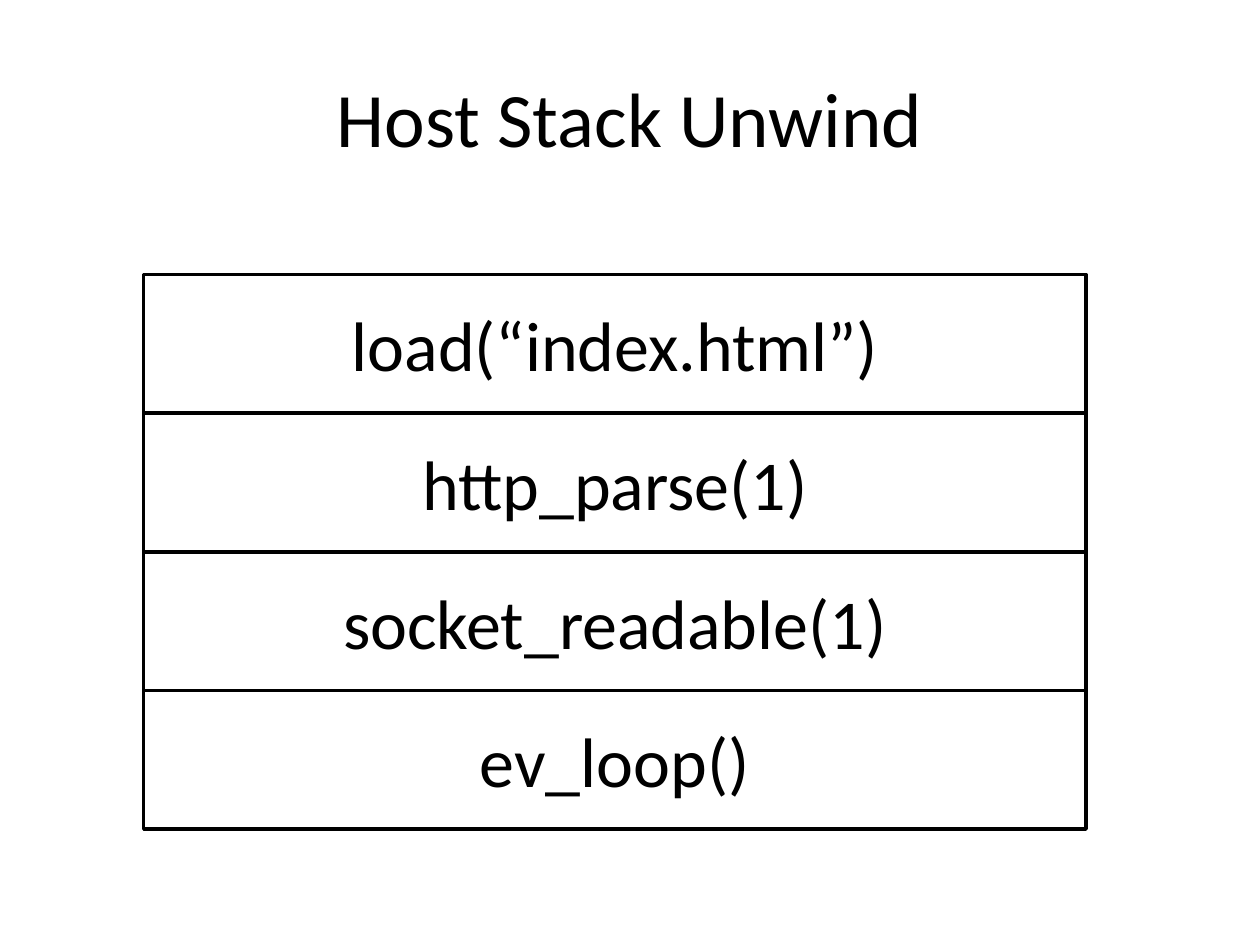
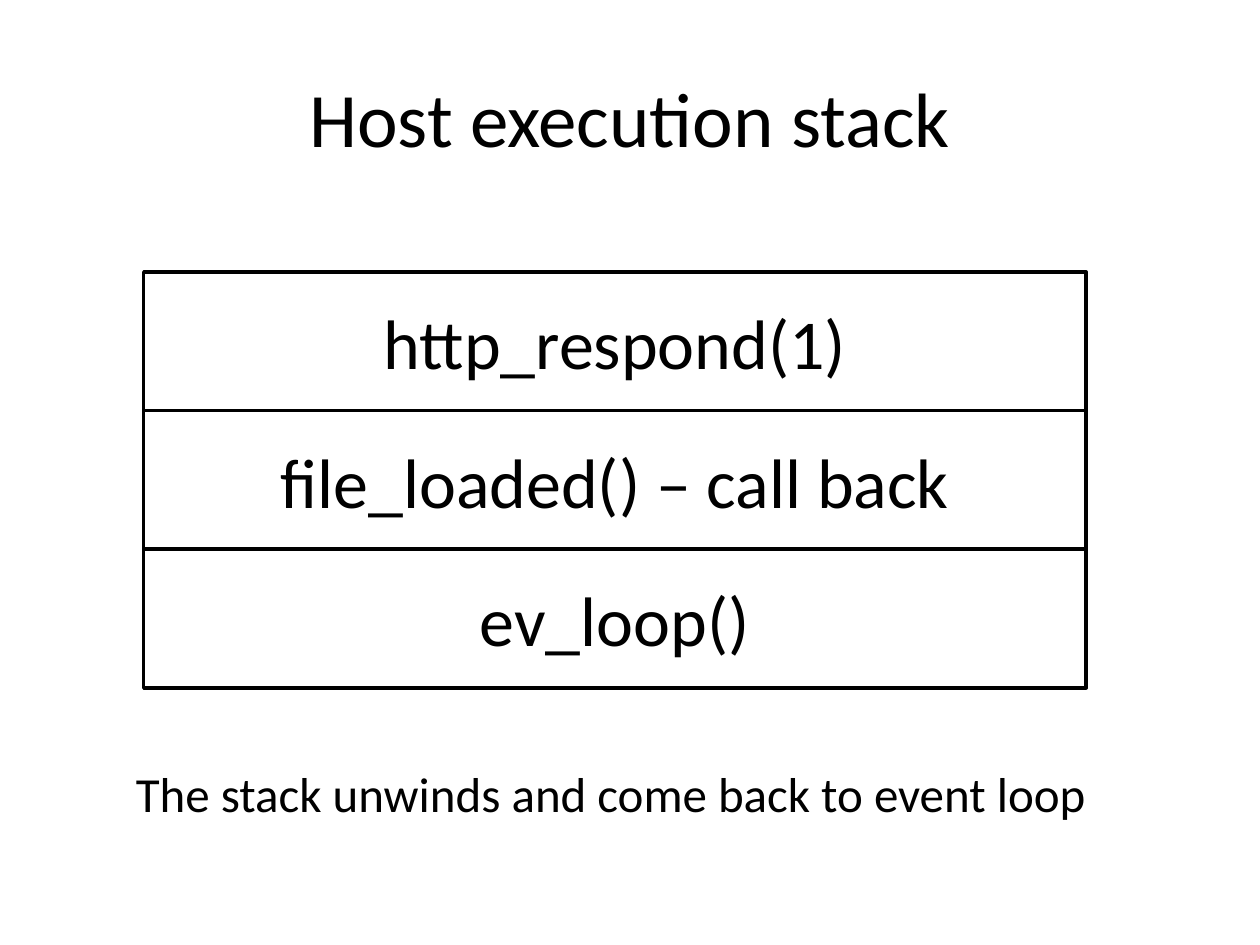
from dataclasses import dataclass

from pptx import Presentation
from pptx.dml.color import RGBColor
from pptx.enum.shapes import MSO_SHAPE
from pptx.enum.text import MSO_ANCHOR, PP_ALIGN
from pptx.shapes.autoshape import Shape
from pptx.slide import Slide
from pptx.util import Inches, Pt

# Shared style
BLACK = RGBColor(0x00, 0x00, 0x00)
WHITE = RGBColor(0xFF, 0xFF, 0xFF)
FONT = "Calibri"

# Stack geometry
FRAME_LEFT = Inches(1.14)
FRAME_WIDTH = Inches(7.48)
FRAME_HEIGHT = Inches(1.1)


@dataclass(frozen=True)
class StackSlide:
    title: str
    stack_top: float
    calls: tuple[str, ...]  # top of the stack first
    caption: str = ""


STACK_SLIDES = (
    StackSlide(
        "Host Stack Unwind",
        2.18,
        ("load(“index.html”)", "http_parse(1)", "socket_readable(1)", "ev_loop()"),
    ),
    StackSlide(
        "Host execution stack",
        2.16,
        ("http_respond(1)", "file_loaded() – call back", "ev_loop()"),
        "The stack unwinds and come back to event loop",
    ),
)


def write_text(
    shape: Shape,
    text: str,
    *,
    size: int,
    align: PP_ALIGN = PP_ALIGN.CENTER,
    anchor: MSO_ANCHOR = MSO_ANCHOR.MIDDLE,
    wrap: bool = True,
) -> None:
    frame = shape.text_frame
    frame.word_wrap = wrap
    frame.vertical_anchor = anchor
    paragraph = frame.paragraphs[0]
    paragraph.alignment = align
    run = paragraph.add_run()
    run.text = text
    run.font.name = FONT
    run.font.size = Pt(size)
    run.font.color.rgb = BLACK


def add_title(slide: Slide, title: str) -> None:
    box = slide.shapes.add_textbox(Inches(0.5), Inches(0.3), Inches(9), Inches(1.25))
    write_text(box, title, size=44)


def add_caption(slide: Slide, caption: str) -> None:
    box = slide.shapes.add_textbox(
        Inches(0.98), Inches(6.01), Inches(7.83), Inches(0.57)
    )
    write_text(
        box, caption, size=28, align=PP_ALIGN.LEFT, anchor=MSO_ANCHOR.TOP, wrap=False
    )


def add_call_stack(slide: Slide, calls: tuple[str, ...], top: float) -> None:
    # The stack grows upwards, so the bottom call is drawn first
    for level, call in reversed(list(enumerate(calls))):
        shape = slide.shapes.add_shape(
            MSO_SHAPE.RECTANGLE,
            FRAME_LEFT,
            Inches(top) + level * FRAME_HEIGHT,
            FRAME_WIDTH,
            FRAME_HEIGHT,
        )
        shape.shadow.inherit = False
        shape.fill.solid()
        shape.fill.fore_color.rgb = WHITE
        shape.line.color.rgb = BLACK
        shape.line.width = Pt(2)
        write_text(shape, call, size=40)


def main() -> None:
    presentation = Presentation()
    presentation.slide_width = Inches(10)
    presentation.slide_height = Inches(7.5)
    blank_layout = presentation.slide_layouts[6]

    for content in STACK_SLIDES:
        slide = presentation.slides.add_slide(blank_layout)
        add_title(slide, content.title)
        add_call_stack(slide, content.calls, content.stack_top)
        if content.caption:
            add_caption(slide, content.caption)

    presentation.save("out.pptx")


if __name__ == "__main__":
    main()
